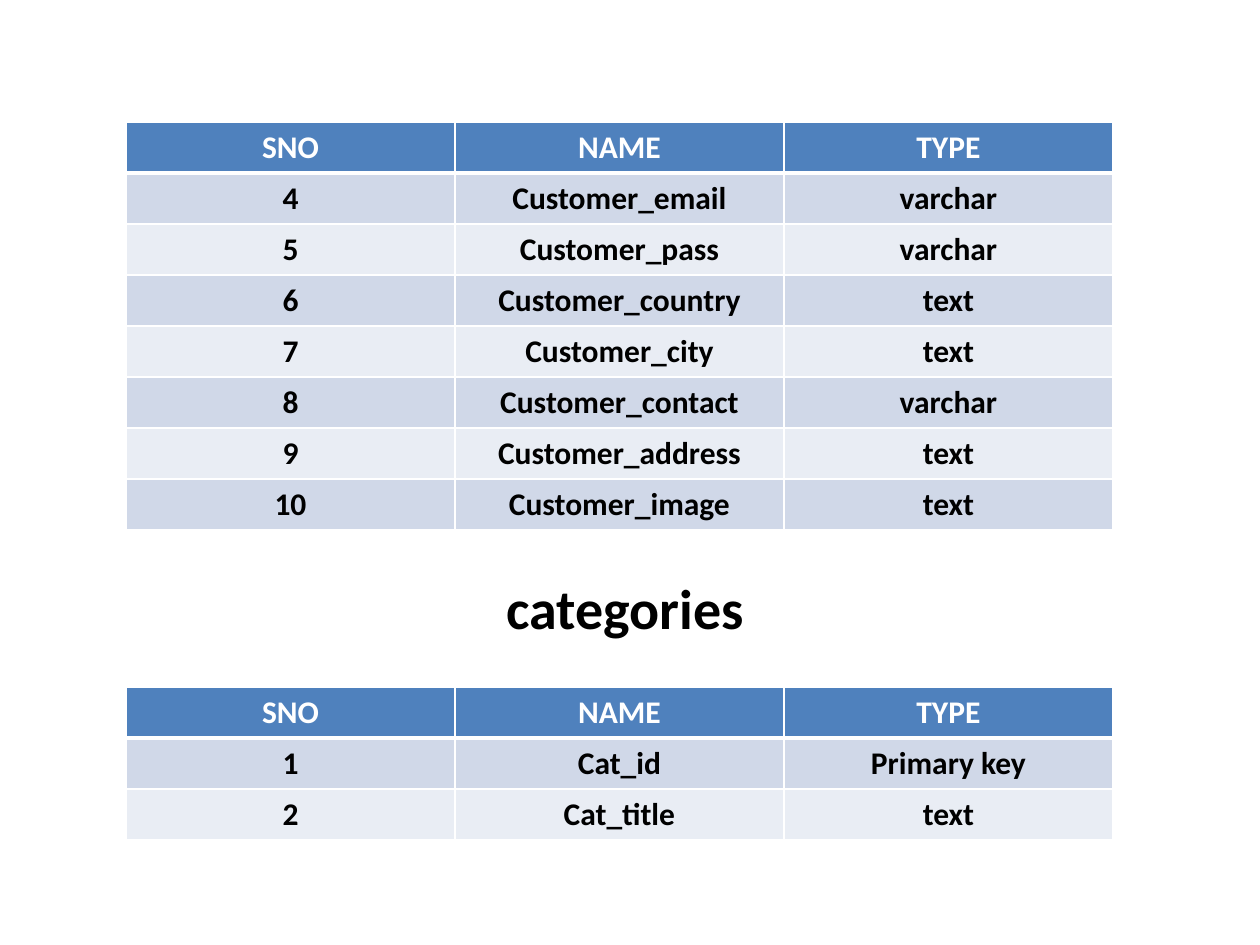
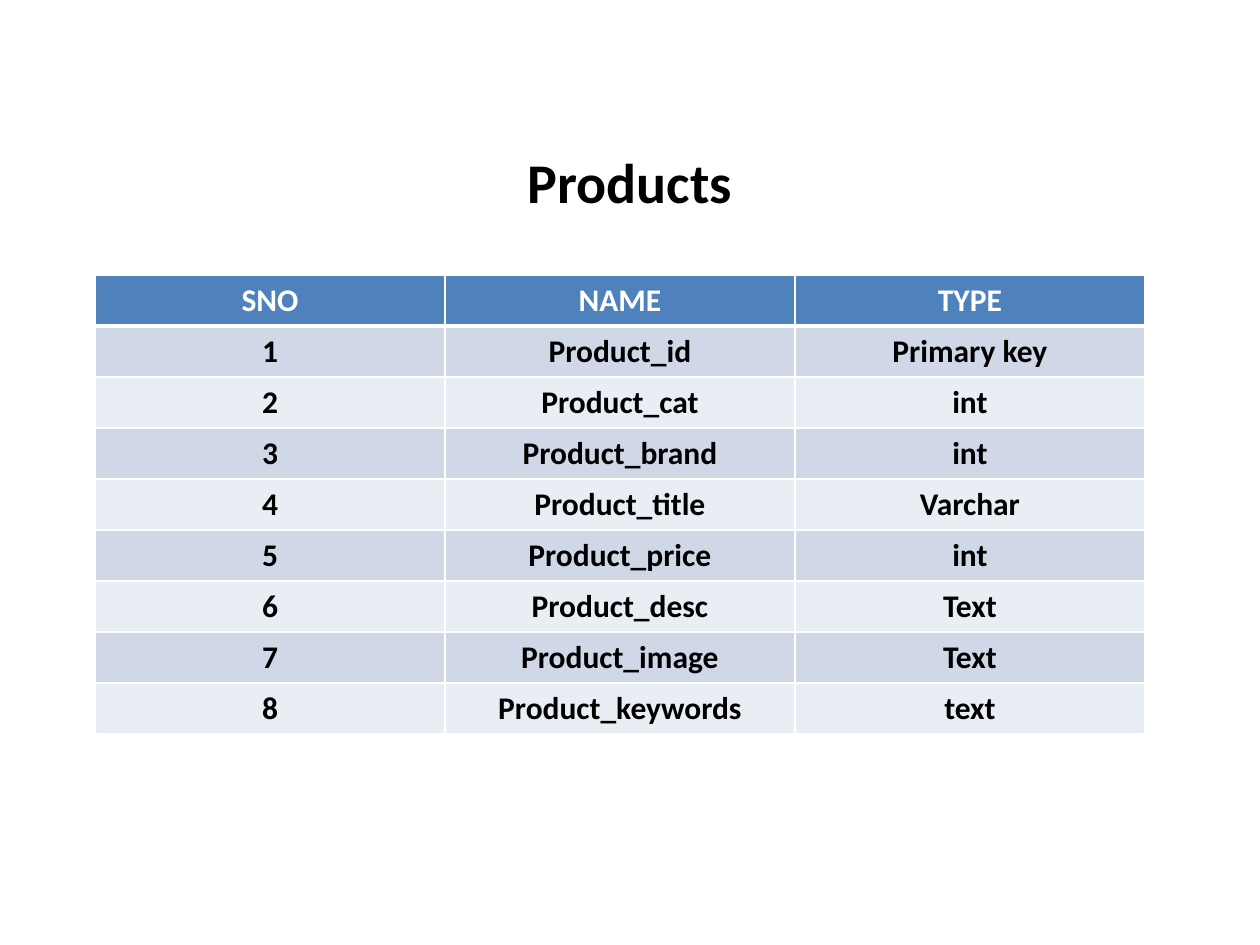
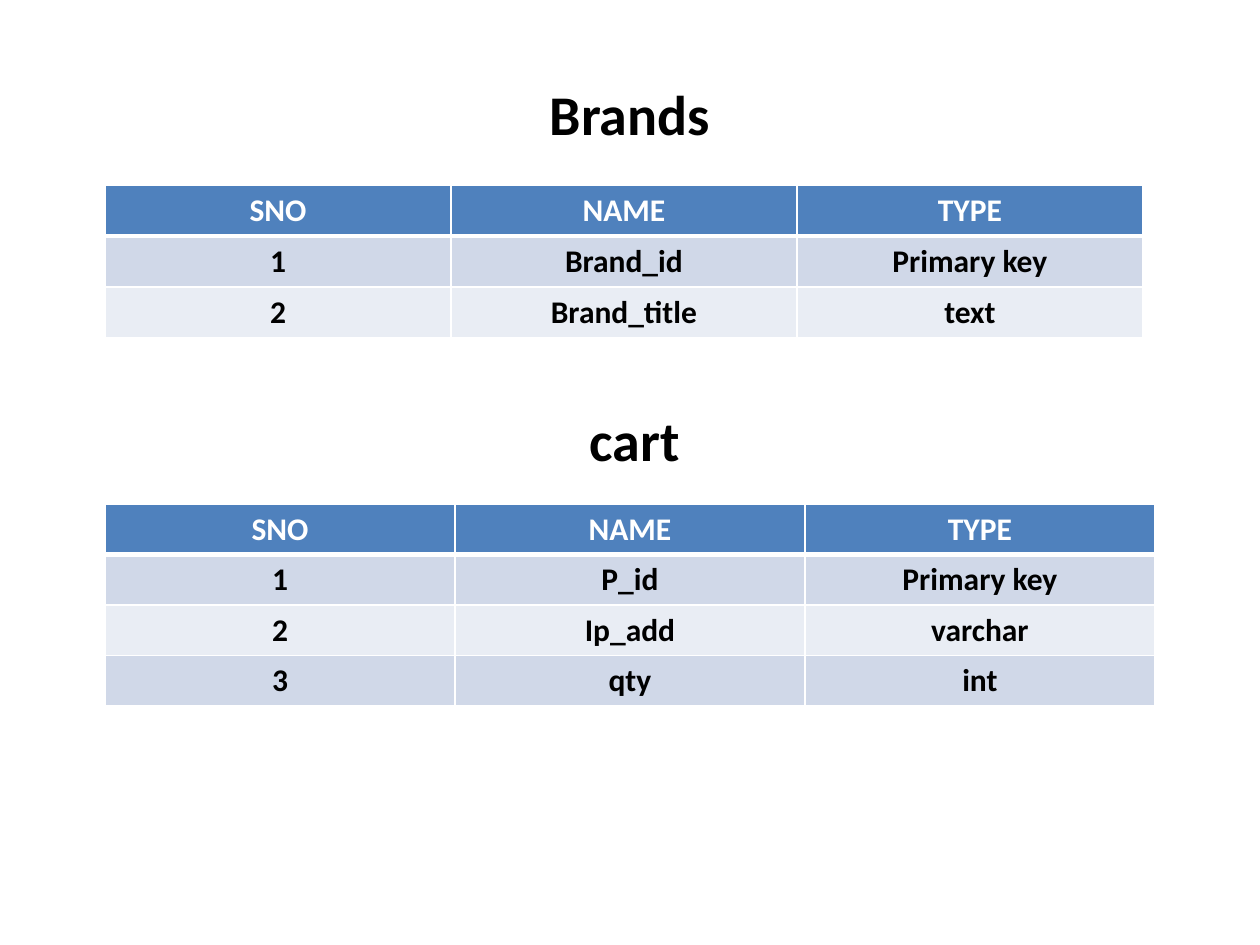
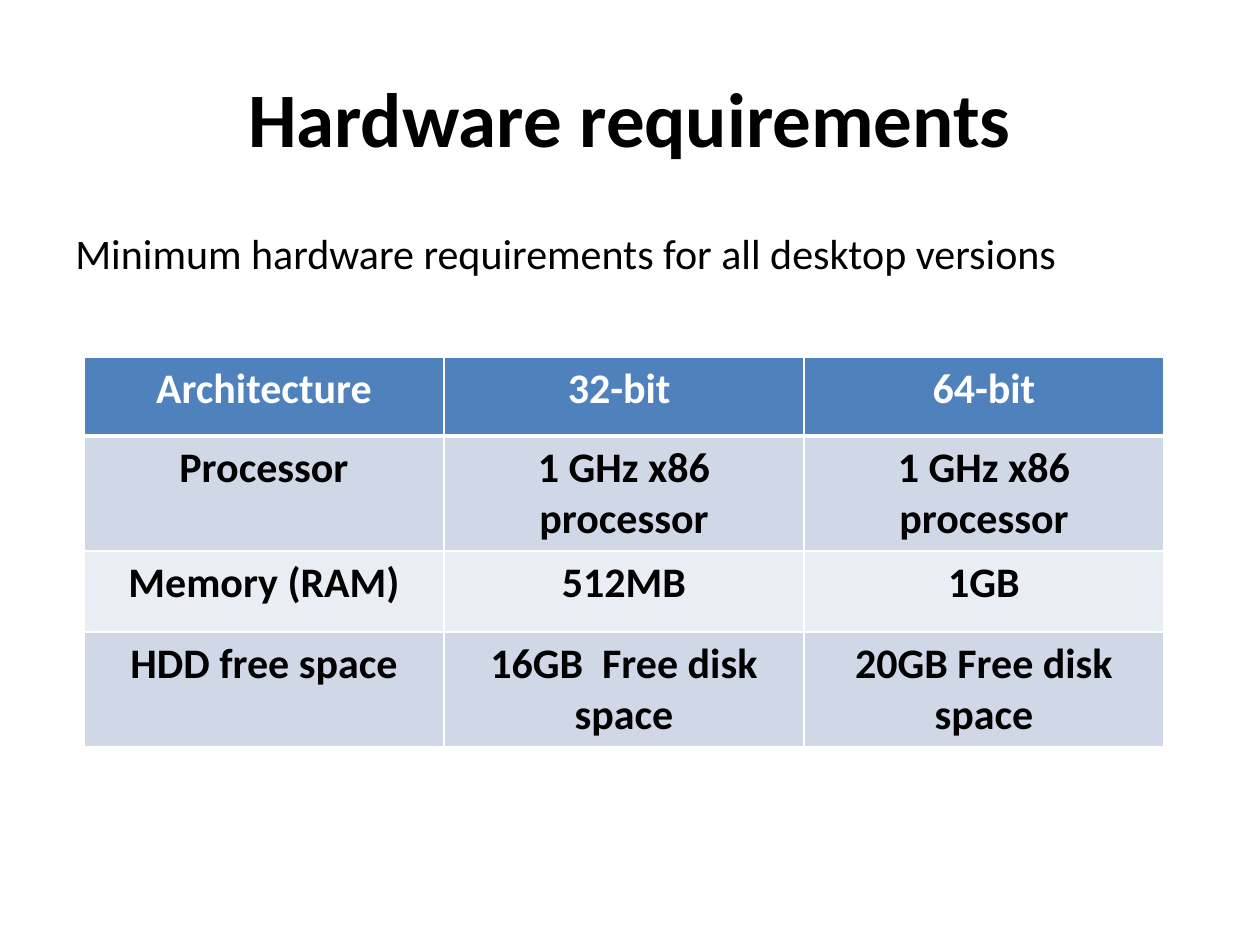
from dataclasses import dataclass

from lxml.etree import SubElement
from pptx import Presentation
from pptx.dml.color import RGBColor
from pptx.enum.text import MSO_ANCHOR, PP_ALIGN
from pptx.oxml.ns import qn
from pptx.util import Emu, Pt

SCALE = 914400 / 126  # EMU in one px


@dataclass(frozen=True)
class Theme:
    font: str = "Calibri"
    ink: str = "000000"
    white: str = "FFFFFF"
    header: str = "4F81BD"
    odd_band: str = "D0D8E8"
    even_band: str = "E9EDF4"
    title_size: int = 44
    heading_size: int = 32
    large_size: int = 24
    table_size: int = 18
    thin_line: int = 1
    thick_line: int = 3


theme = Theme()
FIELD_HEADERS = ("SNO", "NAME", "TYPE")


def add_text(slide, text, box, size, bold=True, align=PP_ALIGN.CENTER, anchor=MSO_ANCHOR.TOP):
    shape = slide.shapes.add_textbox(*(Emu(round(length * SCALE)) for length in box))
    text_frame = shape.text_frame
    text_frame.word_wrap = True
    text_frame.vertical_anchor = anchor
    text_frame.text = text
    paragraph = text_frame.paragraphs[0]
    paragraph.alignment = align
    font = paragraph.runs[0].font
    font.name, font.size, font.bold = theme.font, Pt(size), bold
    font.color.rgb = RGBColor.from_string(theme.ink)


def add_banded_table(slide, rows, left, top, column_width, row_heights, size=theme.table_size):
    """Add a table with a blue header row, two-tone bands and white rules."""
    columns = len(rows[0])
    box = (left, top, column_width * columns, sum(row_heights))
    table = slide.shapes.add_table(
        len(rows), columns, *(Emu(round(length * SCALE)) for length in box)
    ).table
    for column in table.columns:
        column.width = Emu(round(column_width * SCALE))
    for row_index, (values, height) in enumerate(zip(rows, row_heights)):
        table.rows[row_index].height = Emu(round(height * SCALE))
        if row_index == 0:
            fill_color, text_color = theme.header, theme.white
        else:
            fill_color = theme.odd_band if row_index % 2 else theme.even_band
            text_color = theme.ink
        borders = {
            "a:lnL": theme.thin_line,
            "a:lnR": theme.thin_line,
            "a:lnT": theme.thick_line if row_index == 1 else theme.thin_line,
            "a:lnB": theme.thick_line if row_index == 0 else theme.thin_line,
        }
        for column_index, value in enumerate(values):
            cell = table.cell(row_index, column_index)
            properties = cell._tc.get_or_add_tcPr()
            for tag, width in borders.items():
                line = SubElement(properties, qn(tag), w=str(Pt(width)))
                line_fill = SubElement(line, qn("a:solidFill"))
                SubElement(line_fill, qn("a:srgbClr"), val=theme.white)
            cell.fill.solid()
            cell.fill.fore_color.rgb = RGBColor.from_string(fill_color)
            cell.text_frame.text = value
            paragraph = cell.text_frame.paragraphs[0]
            paragraph.alignment = PP_ALIGN.CENTER
            font = paragraph.runs[0].font
            font.name, font.size, font.bold = theme.font, Pt(size), True
            font.color.rgb = RGBColor.from_string(text_color)


presentation = Presentation()
presentation.slide_width = Emu(round(1260 * SCALE))
presentation.slide_height = Emu(round(945 * SCALE))
blank_layout = presentation.slide_layouts[6]

# Each heading: text, box, alignment.
# Each table: left, top, column width, row height, first number, fields.
schema_slides = [
    {
        "headings": [("categories", (494, 567, 315, 81), PP_ALIGN.LEFT)],
        "tables": [
            (126, 122, 329, 51, 4, [
                ("Customer_email", "varchar"),
                ("Customer_pass", "varchar"),
                ("Customer_country", "text"),
                ("Customer_city", "text"),
                ("Customer_contact", "varchar"),
                ("Customer_address", "text"),
                ("Customer_image", "text"),
            ]),
            (126, 687, 329, 51, 1, [
                ("Cat_id", "Primary key"),
                ("Cat_title", "text"),
            ]),
        ],
    },
    {
        "headings": [("Products", (63, 141, 1134, 81), PP_ALIGN.CENTER)],
        "tables": [
            (95, 275, 350, 51, 1, [
                ("Product_id", "Primary key"),
                ("Product_cat", "int"),
                ("Product_brand", "int"),
                ("Product_title", "Varchar"),
                ("Product_price", "int"),
                ("Product_desc", "Text"),
                ("Product_image", "Text"),
                ("Product_keywords", "text"),
            ]),
        ],
    },
    {
        "headings": [
            ("Brands", (63, 73, 1134, 81), PP_ALIGN.CENTER),
            ("cart", (577, 399, 231, 81), PP_ALIGN.LEFT),
        ],
        "tables": [
            (105, 185, 346, 51, 1, [
                ("Brand_id", "Primary key"),
                ("Brand_title", "text"),
            ]),
            (105, 504, 350, 50, 1, [
                ("P_id", "Primary key"),
                ("Ip_add", "varchar"),
                ("qty", "int"),
            ]),
        ],
    },
]

for content in schema_slides:
    slide = presentation.slides.add_slide(blank_layout)
    for text, box, align in content["headings"]:
        add_text(slide, text, box, theme.heading_size, align=align)
    for left, top, column_width, row_height, first_number, fields in content["tables"]:
        rows = [FIELD_HEADERS]
        rows += [(str(number), *field) for number, field in enumerate(fields, first_number)]
        add_banded_table(slide, rows, left, top, column_width, [row_height] * len(rows))

hardware_slide = presentation.slides.add_slide(blank_layout)
add_text(hardware_slide, "Hardware requirements", (63, 38, 1134, 158), theme.title_size,
         anchor=MSO_ANCHOR.MIDDLE)
add_text(hardware_slide, "Minimum hardware requirements for all desktop versions",
         (63, 221, 1134, 64), theme.large_size, bold=False, align=PP_ALIGN.LEFT)
hardware_rows = [
    ("Architecture", "32-bit ", "64-bit"),
    ("Processor", "1 GHz x86 processor", "1 GHz x86 processor"),
    ("Memory (RAM)", "512MB", "1GB"),
    ("HDD free space", "16GB  Free disk space", "20GB Free disk space"),
]
add_banded_table(hardware_slide, hardware_rows, 84, 357, 360, [79, 115, 81, 115],
                 theme.large_size)

presentation.save("out.pptx")
